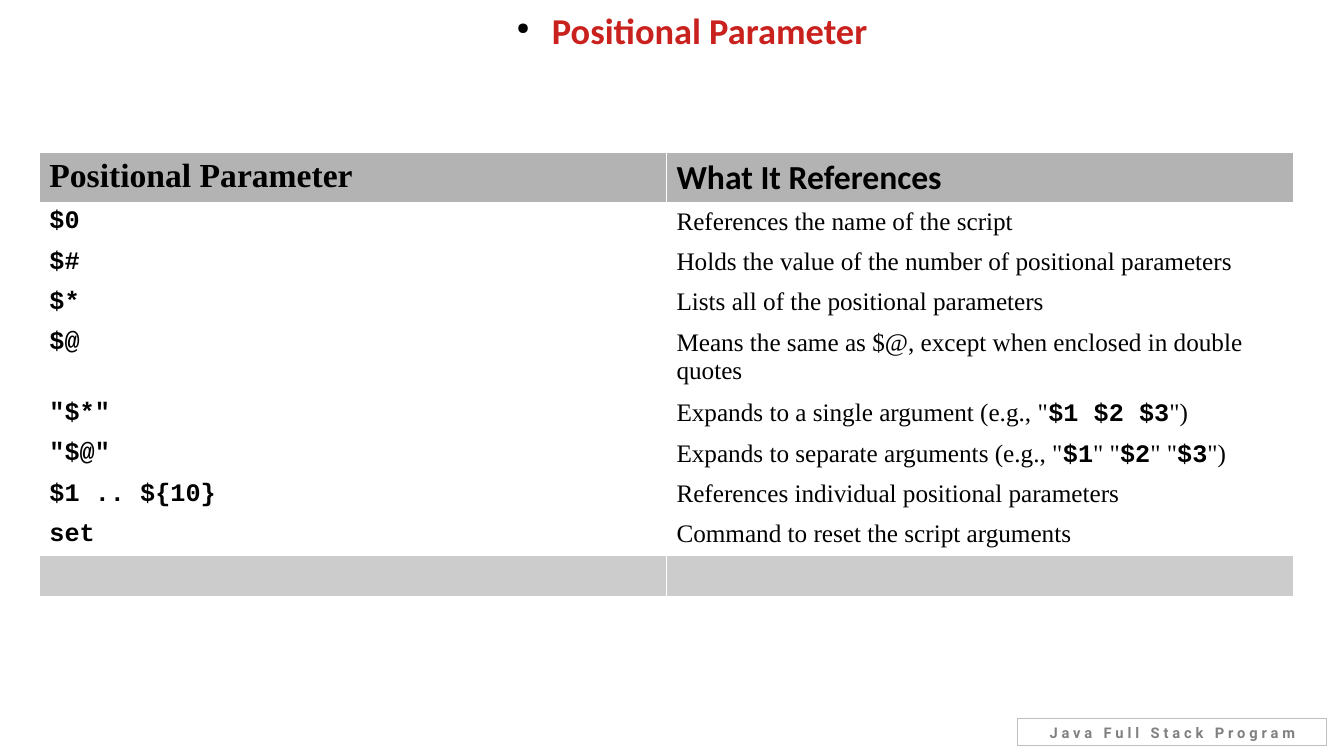
from lxml import etree
from pptx import Presentation
from pptx.dml.color import RGBColor
from pptx.enum.shapes import MSO_SHAPE
from pptx.enum.text import MSO_ANCHOR, PP_ALIGN
from pptx.oxml.ns import qn
from pptx.util import Inches, Pt

CENTER = PP_ALIGN.CENTER
TOP = MSO_ANCHOR.TOP
MIDDLE = MSO_ANCHOR.MIDDLE
RECTANGLE = MSO_SHAPE.RECTANGLE

COLORS = {
    "title": "C9211E",
    "text": "000000",
    "header": "B3B3B3",
    "body": "FFFFFF",
    "last_row": "CCCCCC",
    "border": "FFFFFF",
    "footer_line": "BFBFBF",
    "footer_text": "808080",
}
SERIF = "Times New Roman"
CODE = "Courier New"
SANS = "Calibri"

PARAMETERS = [
    ("$0", ["References the name of the script"]),
    ("$#", ["Holds the value of the number of positional parameters"]),
    ("$*", ["Lists all of the positional parameters"]),
    ("$@", ["Means the same as $@, except when enclosed in double quotes"]),
    ('"$*"', ['Expands to a single argument (e.g., "', "$1 $2 $3", '")']),
    ('"$@"', ['Expands to separate arguments (e.g., "', "$1", '" "', "$2", '" "', "$3", '")']),
    ("$1 .. ${10}", ["References individual positional parameters"]),
    ("set", ["Command to reset the script arguments"]),
]


def color(name):
    return RGBColor.from_string(COLORS[name])


def add_run(paragraph, text, font, size, color_name="text", bold=True):
    run = paragraph.add_run()
    run.text = text
    run.font.name = font
    run.font.size = Pt(size)
    run.font.bold = bold
    run.font.color.rgb = color(color_name)
    return run


def set_indent(paragraph, margin, first_line):
    properties = paragraph._p.get_or_add_pPr()
    properties.set("marL", str(Inches(margin)))
    properties.set("indent", str(Inches(first_line)))
    return properties


def add_title(slide, left, top, width, height):
    shape = slide.shapes.add_textbox(Inches(left), Inches(top), Inches(width), Inches(height))
    frame = shape.text_frame
    frame.word_wrap = True
    frame.vertical_anchor = TOP
    frame.margin_left = frame.margin_right = frame.margin_top = frame.margin_bottom = 0
    paragraph = frame.paragraphs[0]
    paragraph.alignment = CENTER
    paragraph.space_before = Pt(14.2)
    properties = set_indent(paragraph, 0.47, -0.35)
    bullet_color = etree.SubElement(properties, qn("a:buClr"))
    etree.SubElement(bullet_color, qn("a:srgbClr"), val=COLORS["text"])
    etree.SubElement(properties, qn("a:buSzPct"), val="45000")
    etree.SubElement(properties, qn("a:buChar"), char="●")
    add_run(paragraph, "Positional Parameter", SANS, 26, "title")


def style_cell(cell, fill_name, border_points):
    properties = cell._tc.get_or_add_tcPr()
    for side in ("a:lnL", "a:lnR", "a:lnT", "a:lnB"):
        line = etree.SubElement(properties, qn(side), w=str(Pt(border_points)))
        fill = etree.SubElement(line, qn("a:solidFill"))
        etree.SubElement(fill, qn("a:srgbClr"), val=COLORS["border"])
    cell.fill.solid()
    cell.fill.fore_color.rgb = color(fill_name)


def add_parameter_table(slide, left, top, width, height):
    row_count = len(PARAMETERS) + 2
    table = slide.shapes.add_table(
        row_count, 2, Inches(left), Inches(top), Inches(width), Inches(height)
    ).table
    table.first_row = False
    table.horz_banding = False
    for column in table.columns:
        column.width = Inches(width / 2)
    for row in table.rows:
        row.height = Inches(0.4)
    table.rows[0].height = Inches(0.5)
    table.rows[4].height = Inches(0.7)

    for index, row in enumerate(table.rows):
        fill_name = {0: "header", row_count - 1: "last_row"}.get(index, "body")
        for cell in row.cells:
            style_cell(cell, fill_name, 0.96 if fill_name == "body" else 0.06)

    headings = [("Positional Parameter", SERIF), ("What It References", SANS)]
    for cell, (heading, font) in zip(table.rows[0].cells, headings):
        add_run(cell.text_frame.paragraphs[0], heading, font, 24)

    for index, (parameter, parts) in enumerate(PARAMETERS, start=1):
        add_run(table.cell(index, 0).text_frame.paragraphs[0], parameter, CODE, 18)
        paragraph = table.cell(index, 1).text_frame.paragraphs[0]
        for position, part in enumerate(parts):
            is_code = position % 2 == 1
            add_run(paragraph, part, CODE if is_code else SERIF, 18, bold=is_code)


def add_footer(slide, left, top, width, height):
    shape = slide.shapes.add_shape(
        RECTANGLE, Inches(left), Inches(top), Inches(width), Inches(height)
    )
    shape.shadow.inherit = False
    shape.fill.background()
    shape.line.color.rgb = color("footer_line")
    shape.line.width = Pt(0.75)
    frame = shape.text_frame
    frame.word_wrap = True
    frame.vertical_anchor = MIDDLE
    paragraph = frame.paragraphs[0]
    paragraph.alignment = CENTER
    set_indent(paragraph, 0.1, -0.09)
    run = add_run(paragraph, "Java Full Stack Program", "Roboto", 10.5, "footer_text")
    run.font._element.set("spc", "280")


def main():
    presentation = Presentation()
    presentation.slide_width = Inches(13.33)
    presentation.slide_height = Inches(7.5)
    slide = presentation.slides.add_slide(presentation.slide_layouts[6])
    add_title(slide, 0.31, 0.08, 12.99, 7.16)
    add_footer(slide, 10.09, 7.13, 3.07, 0.27)
    add_parameter_table(slide, 0.39, 1.51, 12.44, 4.4)
    presentation.save("out.pptx")


if __name__ == "__main__":
    main()
